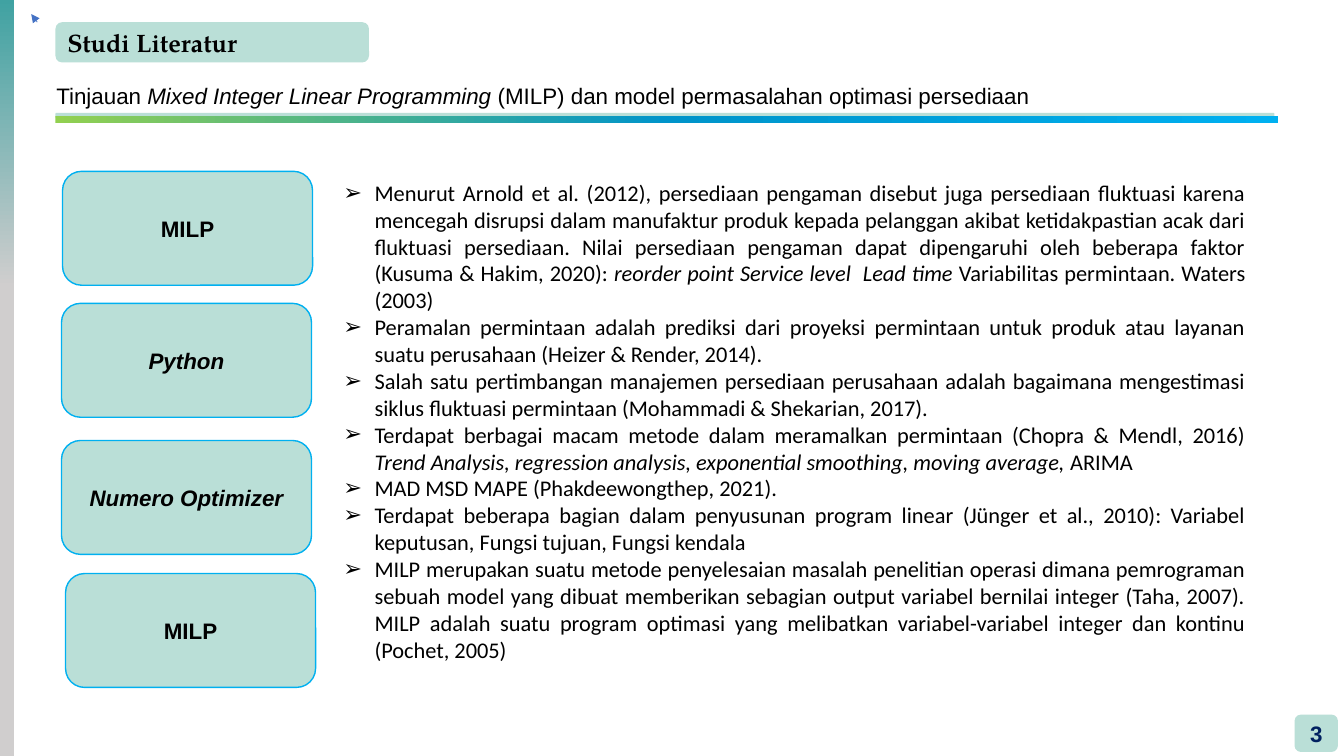
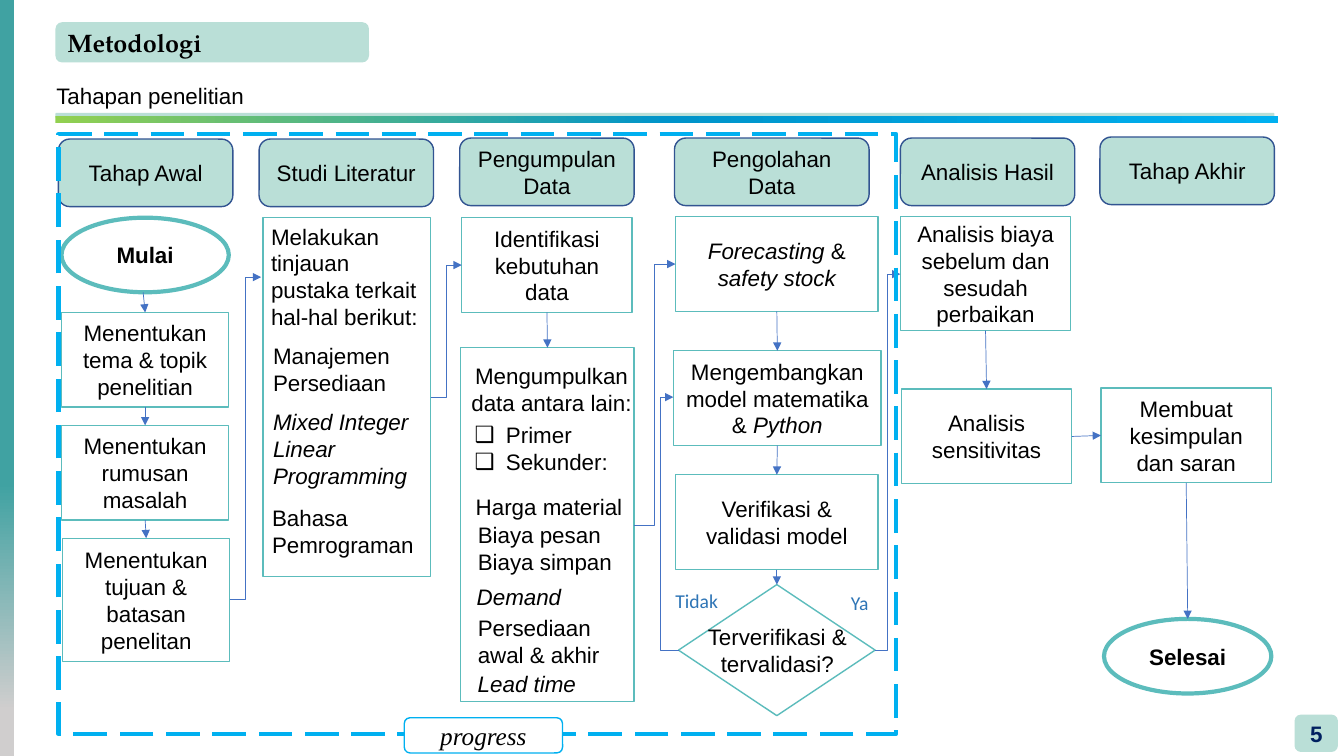
from lxml import etree
from pptx import Presentation
from pptx import util as u
from pptx.dml.color import RGBColor
from pptx.enum import dml, shapes, text
from pptx.oxml.ns import qn

PX = 9144
COLOURS = {
    "black": "000000", "white": "FFFFFF", "mint": "BADFD7", "teal": "5CBCBC",
    "deep_teal": "40A2A2", "grey": "D0CECE", "green": "92D050",
    "blue": "0094CA", "sky": "00B0F0", "navy": "002060", "indigo": "325491",
    "arrow": "4472C4", "branch": "2E75B6",
}
KIND = shapes.MSO_SHAPE
LINK = shapes.MSO_CONNECTOR
LEFT, CENTER, JUSTIFY = text.PP_ALIGN.LEFT, text.PP_ALIGN.CENTER, text.PP_ALIGN.JUSTIFY
TOP, MIDDLE = text.MSO_ANCHOR.TOP, text.MSO_ANCHOR.MIDDLE


def add_box(slide, kind, at, paragraphs=(), fill=None, line=None, weight=1,
            size=16, font="Arial", colour="black", bold=False,
            align=CENTER, anchor=MIDDLE, bullet=None, spacing=None):
    edges = [value * PX for value in at]
    if kind is None:
        shape = slide.shapes.add_textbox(*edges)
    else:
        shape = slide.shapes.add_shape(kind, *edges)
        shape.shadow.inherit = False
        if isinstance(fill, list):
            shape.fill.gradient()
            gradient = shape._element.spPr.find(qn("a:gradFill"))
            gradient.find(qn("a:lin")).set("ang", "0" if at[2] > at[3] else "5400000")
            stops = gradient.find(qn("a:gsLst"))
            for stop in list(stops):
                stops.remove(stop)
            for position, name in fill:
                stop = etree.SubElement(stops, qn("a:gs"), pos=str(position * 1000))
                etree.SubElement(stop, qn("a:srgbClr"), val=COLOURS[name])
        elif fill:
            shape.fill.solid()
            shape.fill.fore_color.rgb = RGBColor.from_string(COLOURS[fill])
        else:
            shape.fill.background()
        if line:
            shape.line.color.rgb = RGBColor.from_string(COLOURS[line])
            shape.line.width = u.Pt(weight)
        else:
            shape.line.fill.background()
    frame = shape.text_frame
    frame.word_wrap = True
    frame.vertical_anchor = anchor
    for index, content in enumerate(paragraphs):
        paragraph = frame.add_paragraph() if index else frame.paragraphs[0]
        paragraph.alignment = align
        if spacing:
            paragraph.line_spacing = spacing
        if bullet:
            properties = paragraph._p.get_or_add_pPr()
            properties.set("marL", str(31 * PX))
            properties.set("indent", str(-31 * PX))
            etree.SubElement(properties, qn("a:buFont"), typeface="Arial")
            etree.SubElement(properties, qn("a:buChar"), char=bullet)
        for part, words in enumerate(content.split("*")):
            if words:
                run = paragraph.add_run()
                run.text = words
                run.font.size = u.Pt(size)
                run.font.name = font
                run.font.bold = bold
                run.font.italic = part % 2 == 1
                run.font.color.rgb = RGBColor.from_string(COLOURS[colour])
    return shape


def add_arrow(slide, kind, points):
    connector = slide.shapes.add_connector(kind, *[value * PX for value in points])
    connector.line.color.rgb = RGBColor.from_string(COLOURS["arrow"])
    connector.line.width = u.Pt(0.5)
    etree.SubElement(connector.line._get_or_add_ln(), qn("a:tailEnd"), type="triangle")
    etree.SubElement(connector._element.spPr, qn("a:effectLst"))
    return connector


presentation = Presentation()
presentation.slide_width = 1333 * PX
presentation.slide_height = 750 * PX

slides = []
for title, subtitle, number, band in [
    ("Studi Literatur",
     "Tinjauan *Mixed Integer Linear Programming *(MILP) dan model permasalahan optimasi persediaan",
     "3", [(0, "deep_teal"), (38, "grey")]),
    ("Metodologi", "Tahapan penelitian", "5", [(64, "deep_teal"), (94, "grey")]),
]:
    slide = presentation.slides.add_slide(presentation.slide_layouts[6])
    slides.append(slide)
    add_box(slide, KIND.RECTANGLE, (0, 0, 14, 750), fill=band)
    add_box(slide, KIND.ROUNDED_RECTANGLE, (55, 22, 311, 40), [title], fill="mint",
            size=18, font="TeX Gyre Pagella", bold=True, align=LEFT)
    add_box(slide, None, (46, 80, 1261, 40), [subtitle], align=LEFT, anchor=TOP, spacing=0.9)
    add_box(slide, KIND.ROUNDED_RECTANGLE, (55, 112, 1209, 5), fill="mint")
    add_box(slide, KIND.RECTANGLE, (55, 115, 1213, 7),
            fill=[(0, "green"), (50, "blue"), (100, "sky")])
    add_box(slide, KIND.ROUNDED_RECTANGLE, (1284, 709, 43, 37), [number], fill="mint",
            colour="navy", bold=True)

literature, method = slides

for label, left, top in [
    ("MILP", 62, 170), ("*Python*", 61, 301), ("*Numero Optimizer*", 61, 437), ("MILP", 65, 569),
]:
    add_box(literature, KIND.ROUNDED_RECTANGLE, (left, top, 248, 113), [label],
            fill="mint", line="sky", bold=True)

findings = [
    "Menurut Arnold et al. (2012), persediaan pengaman disebut juga persediaan fluktuasi karena "
    "mencegah disrupsi dalam manufaktur produk kepada pelanggan akibat ketidakpastian acak dari "
    "fluktuasi persediaan. Nilai persediaan pengaman dapat dipengaruhi oleh beberapa faktor "
    "(Kusuma & Hakim, 2020): *reorder point Service level  Lead time *Variabilitas permintaan. "
    "Waters (2003)",
    "Peramalan permintaan adalah prediksi dari proyeksi permintaan untuk produk atau layanan "
    "suatu perusahaan (Heizer & Render, 2014).",
    "Salah satu pertimbangan manajemen persediaan perusahaan adalah bagaimana mengestimasi "
    "siklus fluktuasi permintaan (Mohammadi & Shekarian, 2017).",
    "Terdapat berbagai macam metode dalam meramalkan permintaan (Chopra & Mendl, 2016) "
    "*Trend Analysis, regression analysis, exponential smoothing, moving average, *ARIMA",
    "MAD MSD MAPE (Phakdeewongthep, 2021).",
    "Terdapat beberapa bagian dalam penyusunan program linear (Jünger et al., 2010): Variabel "
    "keputusan, Fungsi tujuan, Fungsi kendala",
    "MILP merupakan suatu metode penyelesaian masalah penelitian operasi dimana pemrograman "
    "sebuah model yang dibuat memberikan sebagian output variabel bernilai integer (Taha, 2007). "
    "MILP adalah suatu program optimasi yang melibatkan variabel-variabel integer dan kontinu "
    "(Pochet, 2005)",
]
add_box(literature, KIND.ROUNDED_RECTANGLE, (304, 146, 968, 547), findings,
        font="Calibri", align=JUSTIFY, anchor=TOP, bullet="➢")
add_arrow(literature, LINK.STRAIGHT, (37, 22, 31, 14))

for stage, left, top, width in [
    ("Tahap Awal", 58, 138, 173),
    ("Studi Literatur", 257, 138, 173),
    ("Pengumpulan Data", 456, 137, 173),
    ("Pengolahan Data", 669, 137, 193),
    ("Analisis Hasil", 893, 137, 173),
    ("Tahap Akhir", 1091, 136, 173),
]:
    add_box(method, KIND.ROUNDED_RECTANGLE, (left, top, width, 67), [stage],
            fill="mint", line="indigo")

for label, left, top in [("Mulai", 61, 216), ("Selesai", 1095, 614)]:
    add_box(method, KIND.OVAL, (left, top, 166, 74), [label], fill="white",
            line="teal", weight=3, bold=True)

steps = {}
for name, at, label in [
    ("topic", (61, 310, 166, 94), "Menentukan tema & topik penelitian"),
    ("problem", (61, 422, 166, 94), "Menentukan rumusan masalah"),
    ("goal", (62, 534, 166, 122), "Menentukan tujuan & batasan penelitan"),
    ("review", (261, 216, 166, 356), ""),
    ("needs", (458, 216, 169, 94), "Identifikasi kebutuhan data"),
    ("collection", (457, 345, 172, 351), ""),
    ("forecast", (670, 215, 201, 94), "*Forecasting* & *safety stock*"),
    ("model", (668, 348, 206, 94), "Mengembangkan model matematika & *Python*"),
    ("validation", (670, 471, 201, 94), "Verifikasi & validasi model"),
    ("cost", (893, 215, 169, 113), "Analisis biaya sebelum dan sesudah perbaikan"),
    ("sensitivity", (894, 386, 169, 94), "Analisis sensitivitas"),
    ("conclusion", (1092, 385, 169, 94), "Membuat kesimpulan dan saran"),
]:
    steps[name] = add_box(method, KIND.RECTANGLE, at, [label], fill="white", line="teal")
steps["decision"] = add_box(method, KIND.DIAMOND, (673, 580, 195, 130), fill="white", line="teal")

for at, paragraphs, align in [
    ((259, 216, 176, 118), ["Melakukan tinjauan pustaka terkait hal-hal berikut:"], LEFT),
    ((261, 335, 141, 64), ["Manajemen Persediaan"], LEFT),
    ((261, 400, 189, 91), ["*Mixed Integer Linear Programming*"], LEFT),
    ((260, 495, 161, 64), ["Bahasa Pemrograman"], LEFT),
    ((456, 354, 182, 64), ["Mengumpulkan data antara lain:"], CENTER),
    ((462, 484, 172, 37), ["Harga material"], JUSTIFY),
    ((464, 512, 162, 64), ["Biaya pesan", "Biaya simpan"], JUSTIFY),
    ((463, 574, 139, 37), ["*Demand*"], JUSTIFY),
    ((464, 604, 179, 64), ["Persediaan awal & akhir"], JUSTIFY),
    ((464, 660, 136, 37), ["*Lead time*"], JUSTIFY),
    ((686, 613, 170, 64), ["Terverifikasi & tervalidasi?"], CENTER),
]:
    add_box(method, None, at, paragraphs, align=align, anchor=TOP)
add_box(method, None, (461, 413, 198, 64), ["Primer", "Sekunder:"],
        align=JUSTIFY, anchor=TOP, bullet="❑")
for answer, left, top in [("Tidak", 660, 579), ("Ya", 834, 581)]:
    add_box(method, None, (left, top, 63, 34), [answer], size=14, font="Calibri",
            colour="branch", align=LEFT, anchor=TOP)

for points, start, start_side, end, end_side in [
    ((142, 290, 144, 310), None, 2, "topic", 0),
    ((144, 404, 144, 422), "topic", 2, "problem", 0),
    ((144, 516, 145, 534), "problem", 2, "goal", 0),
    ((543, 310, 543, 345), "needs", 2, "collection", 0),
    ((771, 309, 771, 348), "forecast", 2, "model", 0),
    ((771, 442, 771, 471), "model", 2, "validation", 0),
    ((771, 565, 771, 580), "validation", 2, "decision", 0),
    ((977, 328, 978, 386), "cost", 2, "sensitivity", 0),
    ((1063, 432, 1092, 432), "sensitivity", 3, "conclusion", 1),
    ((1177, 479, 1178, 614), "conclusion", 2, None, 0),
]:
    arrow = add_arrow(method, LINK.STRAIGHT, points)
    if start:
        arrow.begin_connect(steps[start], start_side)
    if end:
        arrow.end_connect(steps[end], end_side)

for points in [
    (228, 595, 259, 275), (427, 394, 458, 263), (629, 521, 670, 262), (868, 645, 893, 272),
]:
    add_arrow(method, LINK.ELBOW, points)
retry = add_arrow(method, LINK.ELBOW, (673, 645, 668, 394))
guides = retry._element.spPr.find(qn("a:prstGeom")).get_or_add_avLst()
etree.SubElement(guides, qn("a:gd"), name="adj1", fmla="val 360000")

progress_frame = add_box(method, KIND.RECTANGLE, (58, 133, 831, 595), line="sky", weight=3)
progress_frame.line.dash_style = dml.MSO_LINE.LONG_DASH
add_box(method, KIND.ROUNDED_RECTANGLE, (401, 712, 157, 35), ["*progress*"], fill="white",
        line="sky", size=18, font="Times New Roman")

presentation.save("out.pptx")
